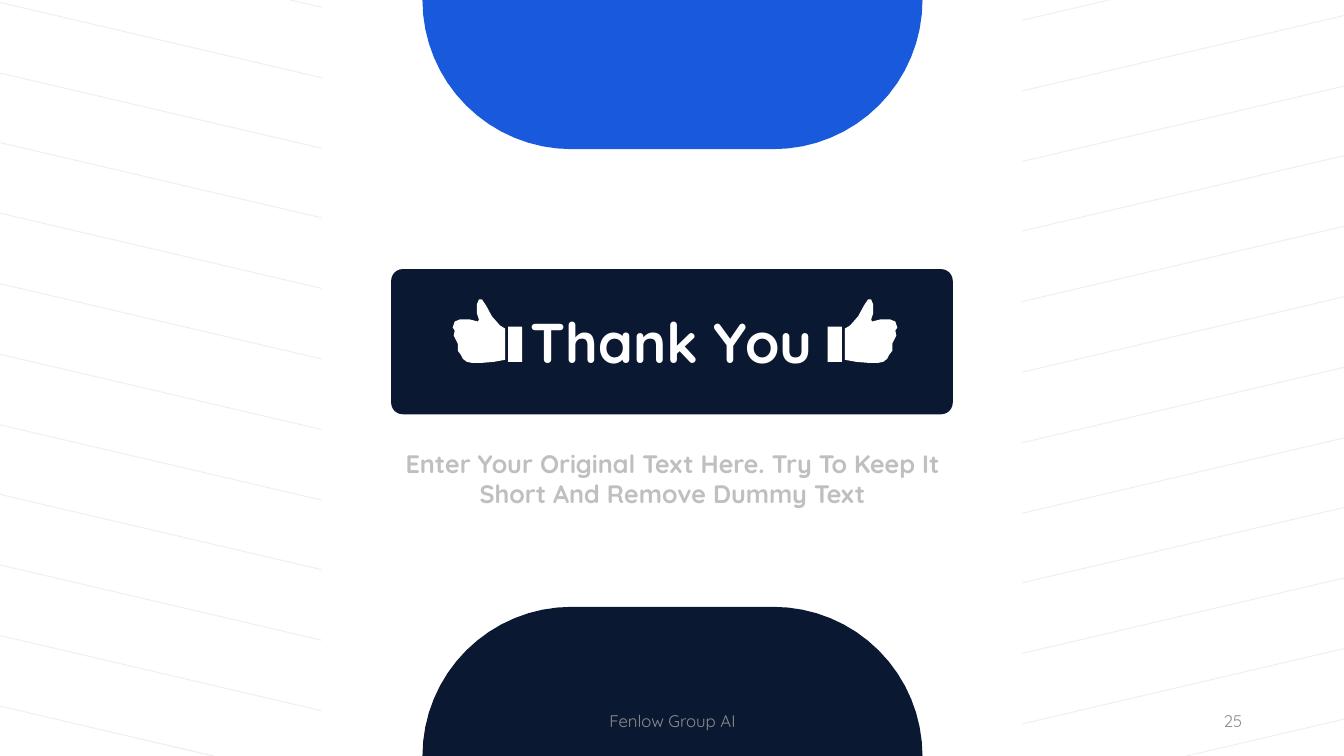
import math

from pptx import Presentation
from pptx.dml.color import RGBColor
from pptx.enum.shapes import MSO_SHAPE
from pptx.enum.text import MSO_ANCHOR, PP_ALIGN
from pptx.util import Pt

PX = 9144
W, H = 1333, 750
NAVY = RGBColor(0x0A, 0x19, 0x31)
BLUE = RGBColor(0x18, 0x5A, 0xDB)
WHITE = RGBColor(0xFF, 0xFF, 0xFF)
STRIPE = RGBColor(0xEF, 0xEF, 0xEF)
SILVER = RGBColor(0xBF, 0xBF, 0xBF)
GRAY = RGBColor(0x8C, 0x8C, 0x8C)
RECT, ROUNDED = MSO_SHAPE.RECTANGLE, MSO_SHAPE.ROUNDED_RECTANGLE
TOP, MIDDLE = MSO_ANCHOR.TOP, MSO_ANCHOR.MIDDLE
CENTER, RIGHT = PP_ALIGN.CENTER, PP_ALIGN.RIGHT

prs = Presentation()
prs.slide_width, prs.slide_height = W * PX, H * PX
s = prs.slides.add_slide(prs.slide_layouts[6])


def paint(sp, color):
    sp.shadow.inherit = False
    sp.fill.solid()
    sp.fill.fore_color.rgb = color
    sp.line.fill.background()


def add_outline(contours, color):
    contours = [[(x * PX, y * PX) for x, y in c] for c in contours]
    fb = s.shapes.build_freeform(*contours[0][0], scale=1.0)
    fb.add_line_segments(contours[0][1:])
    for contour in contours[1:]:
        fb.move_to(*contour[0])
        fb.add_line_segments(contour[1:])
    paint(fb.convert_to_shape(), color)


bands = [
    [(1102, 0), (889, 50), (889, 49), (1098, 0)],
    [(1175, H), (1179, H), (W, 714), (W, 713)],
    [(290, 0), (286, 0), (500, 50), (500, 49)],
    [(0, 700), (0, 701), (209, H), (214, H)],
]
for inner, outer, rise in ((889, W, 104), (500, 0, 117)):
    for k in range(1, 11):
        y = round(49 + 69.8 * k)
        bands.append([(inner, y), (inner, y + 1), (outer, y + 1 - rise), (outer, y - rise)])
add_outline(bands, STRIPE)

blocks = [
    (RECT, 319, 0, 695, H, WHITE),
    (ROUNDED, 388, 267, 557, 144, NAVY),
    (RECT, 821, 324, 14, 35, WHITE),
    (RECT, 504, 324, 14, 35, WHITE),
]
for kind, x, y, w, h, color in blocks:
    sp = s.shapes.add_shape(kind, x * PX, y * PX, w * PX, h * PX)
    paint(sp, color)
    if kind == ROUNDED:
        sp.adjustments[0] = 0.08

R, STEPS = 148, 16
angles = [math.pi / 2 * i / STEPS for i in range(STEPS + 1)]
corner = [(767 + R * math.cos(a), R * math.sin(a)) for a in angles]
cap = corner + [(1334 - x, y) for x, y in reversed(corner)]
thumb = [
    (838, 357), (849, 359), (861, 360), (871, 360), (876, 359), (880, 356),
    (882, 352), (885, 348), (885, 341), (889, 333), (888, 328), (890, 325),
    (888, 319), (883, 317), (873, 317), (865, 319), (864, 317), (866, 311),
    (866, 302), (864, 297), (861, 297), (857, 303), (851, 314), (843, 323),
    (838, 326),
]
add_outline([[(x, H - y) for x, y in cap]], NAVY)
add_outline([cap], BLUE)
add_outline([thumb], WHITE)
add_outline([[(1339 - x, y) for x, y in thumb]], WHITE)

texts = [
    (513, 300, 306, 77, ["Thank You"], CENTER, TOP, False,
     {"size": Pt(40), "bold": True}, WHITE),
    (365, 440, 604, 71,
     ["Enter Your Original Text Here. Try To Keep It", "Short And Remove Dummy Text"],
     CENTER, TOP, True, {"size": Pt(18), "bold": True}, SILVER),
    (442, 695, 450, 40, ["Fenlow Group AI"], CENTER, MIDDLE, True, {"size": Pt(12)}, GRAY),
    (942, 695, 300, 40, ["25"], RIGHT, MIDDLE, True, {"size": Pt(12)}, GRAY),
]
for x, y, w, h, lines, align, anchor, wrap, fmt, color in texts:
    tf = s.shapes.add_textbox(x * PX, y * PX, w * PX, h * PX).text_frame
    tf.word_wrap = wrap
    tf.vertical_anchor = anchor
    for i, line in enumerate(lines):
        p = tf.add_paragraph() if i else tf.paragraphs[0]
        p.alignment = align
        r = p.add_run()
        r.text = line
        r.font.color.rgb = color
        for name, value in {"name": "Quicksand", **fmt}.items():
            setattr(r.font, name, value)

prs.save("out.pptx")
